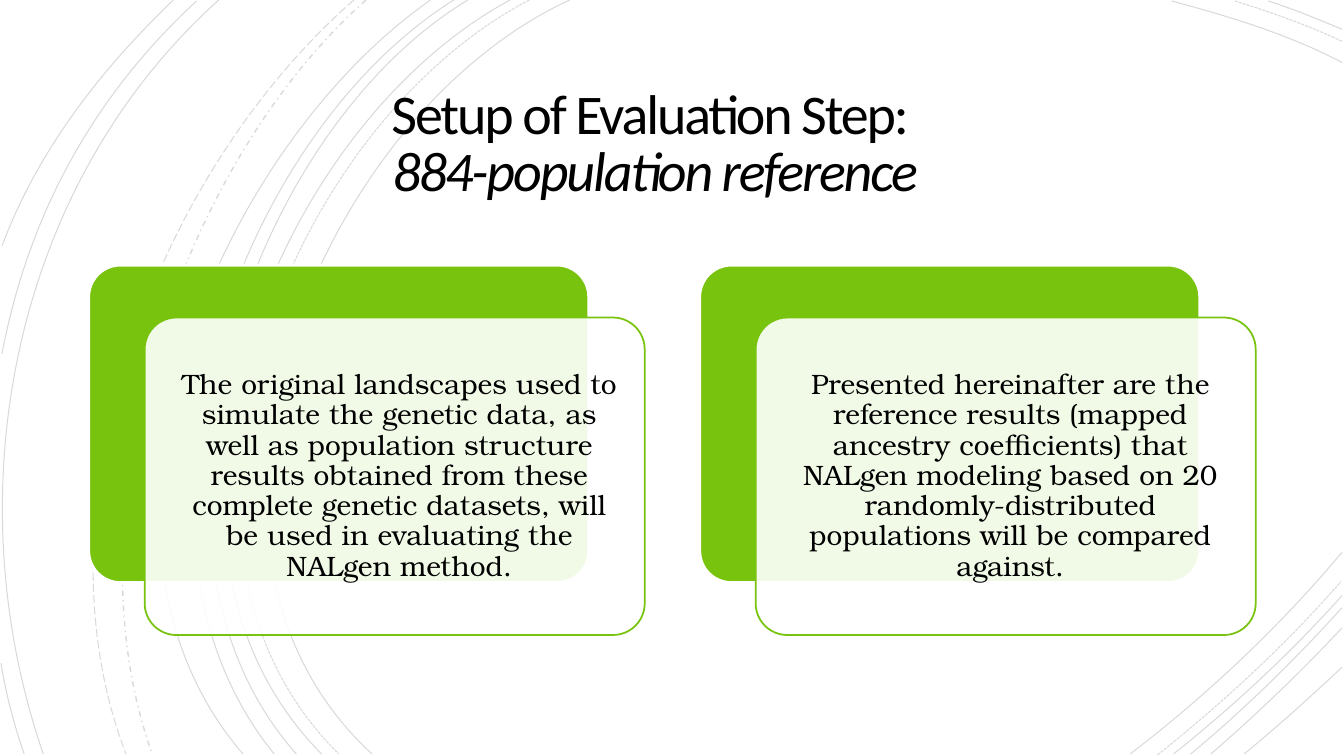
from dataclasses import dataclass

from lxml.etree import SubElement
from pptx import Presentation
from pptx.dml.color import RGBColor
from pptx.enum.dml import MSO_LINE
from pptx.enum.shapes import MSO_SHAPE
from pptx.enum.text import MSO_ANCHOR, PP_ALIGN
from pptx.oxml.ns import qn
from pptx.util import Inches, Pt

COLORS = {"ink": "000000", "paper": "FFFFFF", "green": "78C30D"}
COLUMNS, ROWS = 1333, 750

deck = Presentation()
deck.slide_width, deck.slide_height = Inches(13.33), Inches(7.5)
COLUMN, ROW = deck.slide_width / COLUMNS, deck.slide_height / ROWS
slide = deck.slides.add_slide(deck.slide_layouts[6])


@dataclass(frozen=True)
class Arc:
    start: tuple[int, int]
    bend_out: tuple[int, int]
    bend_in: tuple[int, int]
    end: tuple[int, int]
    dash: MSO_LINE = MSO_LINE.SOLID
    weight: float = 0.74


@dataclass(frozen=True)
class Card:
    left: int
    message: str


ARCS = [
    Arc((565, 0), (315, 115), (143, 540), (369, 748)),
    Arc((1331, 62), (1278, 34), (1218, 16), (1162, 1)),
    Arc((1121, 748), (1197, 690), (1269, 622), (1331, 548)),
    Arc((525, 0), (285, 125), (123, 537), (336, 748), MSO_LINE.SQUARE_DOT),
    Arc((1331, 41), (1297, 25), (1260, 12), (1225, 1), MSO_LINE.SQUARE_DOT),
    Arc((1148, 749), (1213, 697), (1275, 640), (1330, 577), MSO_LINE.SQUARE_DOT),
    Arc((506, 0), (270, 127), (110, 537), (319, 748)),
    Arc((1331, 29), (1307, 19), (1283, 9), (1258, 1)),
    Arc((1164, 748), (1223, 701), (1280, 648), (1331, 591)),
    Arc((464, 0), (244, 133), (110, 541), (294, 748)),
    Arc((1181, 748), (1234, 704), (1284, 655), (1331, 603)),
    Arc((450, 0), (231, 138), (97, 533), (272, 748)),
    Arc((1201, 748), (1246, 709), (1290, 667), (1331, 623)),
    Arc((427, 0), (217, 147), (53, 529), (241, 748)),
    Arc((1234, 748), (1267, 721), (1299, 692), (1331, 662)),
    Arc((363, 0), (176, 166), (65, 509), (151, 748), MSO_LINE.DASH_DOT, 0.99),
    Arc((351, 0), (157, 169), (29, 499), (125, 748), MSO_LINE.LONG_DASH),
    Arc((217, 0), (11, 185), (-46, 490), (43, 748)),
    Arc((195, 1), (92, 96), (28, 214), (2, 351)),
    Arc((1, 658), (6, 689), (14, 719), (24, 748)),
    Arc((172, 0), (100, 69), (37, 150), (2, 244)),
]

CARD_WIDTH, CARD_HEIGHT, CARD_TOP = 496, 315, 263
FRONT_SHIFT_X, FRONT_SHIFT_Y = 55.5, 52
CARDS = [
    Card(88, "The original landscapes used to simulate the genetic data, as well as "
             "population structure results obtained from these complete genetic datasets, "
             "will be used in evaluating the NALgen method."),
    Card(694, "Presented hereinafter are the reference results (mapped ancestry "
              "coefficients) that NALgen modeling based on 20 randomly-distributed "
              "populations will be compared against."),
]


def color(name: str) -> RGBColor:
    return RGBColor.from_string(COLORS[name])


def area(left: float, top: float, width: float, height: float) -> tuple[int, ...]:
    return (round(left * COLUMN), round(top * ROW),
            round(width * COLUMN), round(height * ROW))


def set_opacity(paint, percent: int) -> None:
    for swatch in paint.iter(qn("a:srgbClr")):
        SubElement(swatch, qn("a:alpha")).set("val", str(percent * 1000))


def draw_arc(shapes, arc: Arc) -> None:
    outline = shapes.build_freeform(*arc.start, scale=(COLUMN, ROW))
    outline.add_line_segments([arc.bend_out, arc.bend_in, arc.end], close=False)
    curve = outline.convert_to_shape()
    steps = list(curve._element.iter(qn("a:lnTo")))
    bezier = SubElement(steps[0].getparent(), qn("a:cubicBezTo"))
    for step in steps:
        bezier.append(step[0])
        step.getparent().remove(step)
    curve.shadow.inherit = False
    curve.fill.background()
    curve.line.color.rgb = color("ink")
    curve.line.width = Pt(arc.weight)
    curve.line.dash_style = arc.dash
    set_opacity(curve.line._get_or_add_ln(), 15)


def draw_panel(left: float, top: float, fill: str, border: str, weight: float):
    panel = slide.shapes.add_shape(MSO_SHAPE.ROUNDED_RECTANGLE,
                                   *area(left, top, CARD_WIDTH, CARD_HEIGHT))
    panel.adjustments[0] = 0.1
    panel.shadow.inherit = False
    panel.fill.solid()
    panel.fill.fore_color.rgb = color(fill)
    panel.line.color.rgb = color(border)
    panel.line.width = Pt(weight)
    return panel


def set_frame(frame, left: int, top: int, right: int, bottom: int) -> None:
    frame.word_wrap = True
    frame.vertical_anchor = MSO_ANCHOR.MIDDLE
    frame.margin_left, frame.margin_top, frame.margin_right, frame.margin_bottom = (
        round(left * COLUMN), round(top * ROW), round(right * COLUMN), round(bottom * ROW))


def style_paragraph(paragraph, font: str, size: int, spacing: float) -> None:
    paragraph.alignment = PP_ALIGN.CENTER
    paragraph.line_spacing = spacing
    paragraph.font.name = font
    paragraph.font.size = Pt(size)
    paragraph.font.color.rgb = color("ink")


def draw_title() -> None:
    frame = slide.shapes.add_textbox(*area(192, 87, 916, 115)).text_frame
    set_frame(frame, 25, 25, 25, 25)
    frame.text = "Setup of Evaluation Step: \n884-population reference"
    for paragraph in frame.paragraphs:
        style_paragraph(paragraph, "Calibri", 40, 0.85)
        for run in paragraph.runs:
            run.font._element.set("spc", "-150")
    frame.paragraphs[1].font.italic = True


def draw_card(card: Card) -> None:
    draw_panel(card.left, CARD_TOP, "green", "paper", 2)
    front = draw_panel(card.left + FRONT_SHIFT_X, CARD_TOP + FRONT_SHIFT_Y,
                       "paper", "green", 1.25)
    set_opacity(front._element.spPr.find(qn("a:solidFill")), 90)
    set_frame(front.text_frame, 19, 19, 10, 19)
    front.text_frame.text = card.message
    message = front.text_frame.paragraphs[0]
    style_paragraph(message, "TeX Gyre Bonum", 20, 0.9)
    message.space_after = Pt(8.1)


slide.background.fill.solid()
slide.background.fill.fore_color.rgb = color("paper")
backdrop = slide.shapes.add_group_shape()
for arc in ARCS:
    draw_arc(backdrop.shapes, arc)
draw_title()
for card in CARDS:
    draw_card(card)
deck.save("out.pptx")
